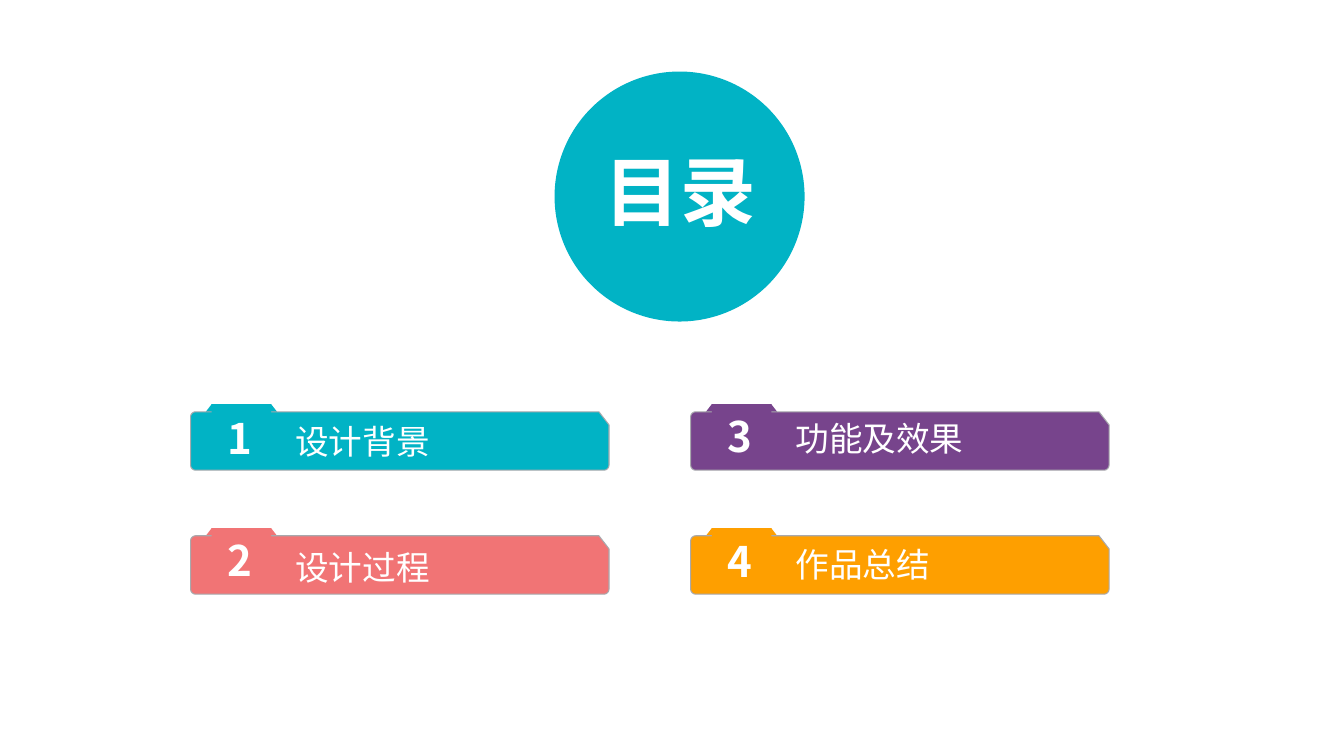
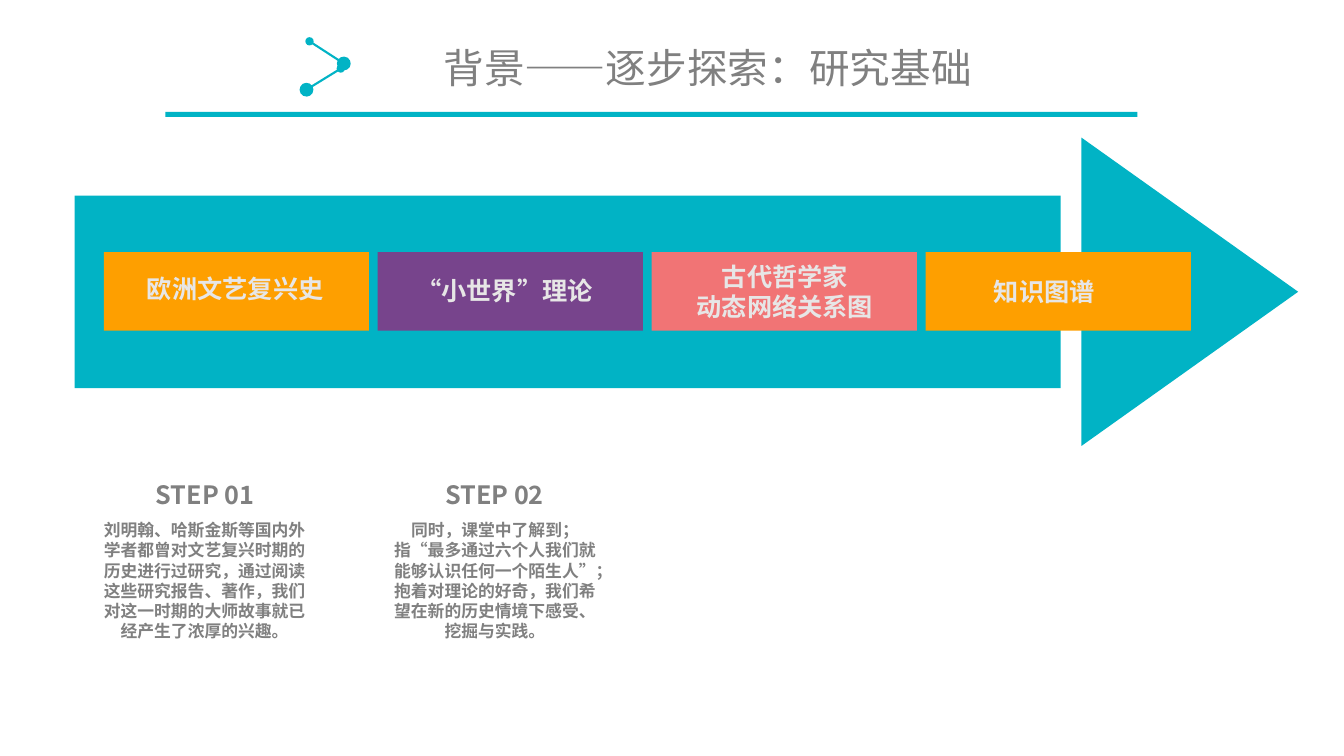
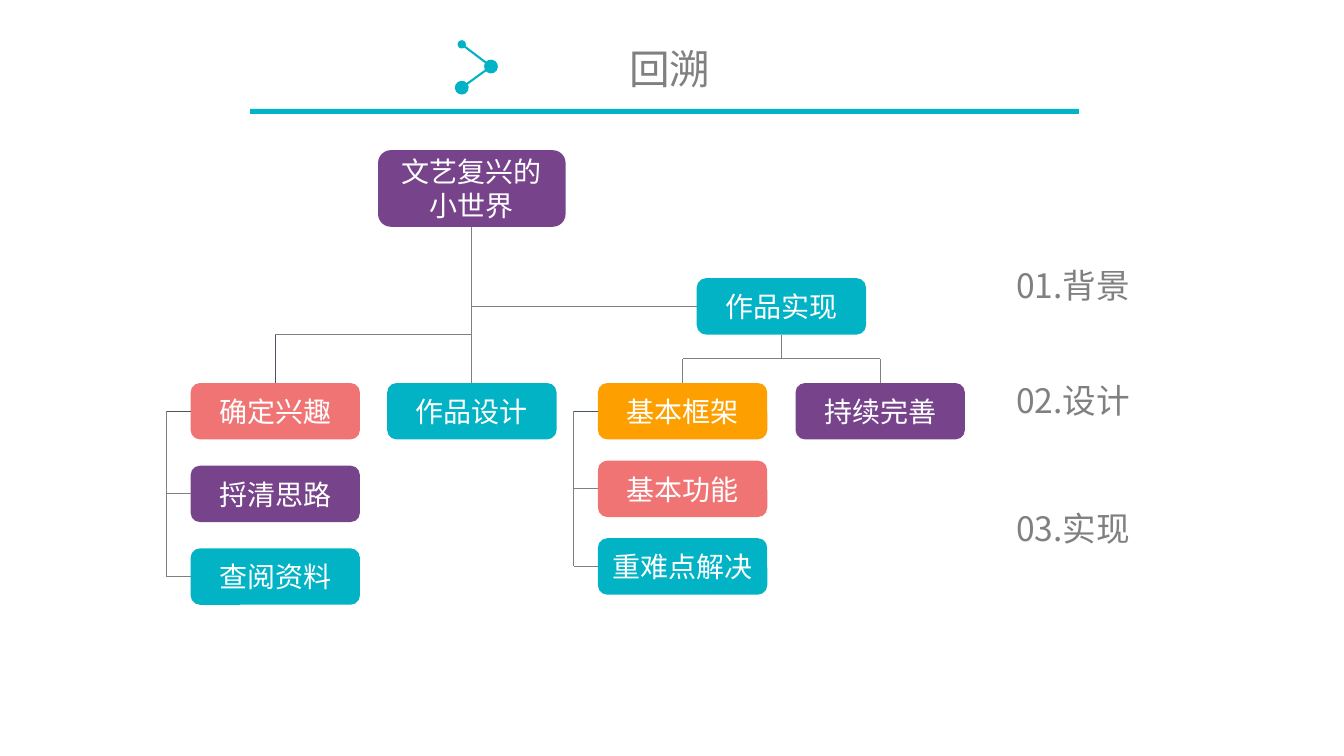
from math import cos, pi, sin

from lxml.etree import SubElement
from pptx import Presentation
from pptx.dml.color import RGBColor
from pptx.enum.shapes import MSO_CONNECTOR, MSO_SHAPE
from pptx.enum.text import MSO_ANCHOR, MSO_AUTO_SIZE, PP_ALIGN
from pptx.oxml.ns import qn
from pptx.util import Inches, Pt

COLOURS = {
    "teal": "01B3C5", "coral": "F17475", "purple": "77448C", "orange": "FE9F00",
    "white": "FFFFFF", "pale": "E7E6E6", "grey": "808080", "slate": "49555F",
    "silver": "A8A9AD",
}
FONT = "Noto Sans CJK SC"
TITLE_FONT = "Arial"
NARROW = (0.07, 0.04)
TOP, LEFT, BOTTOM = 0, 1, 2

CARDS = [
    ("1", "设计背景", "teal", 1.89, 4.01, 1.5, 0.13, 0.04),
    ("2", "设计过程", "coral", 1.89, 5.24, 1.5, 0.15, 0.02),
    ("3", "功能及效果", "purple", 6.85, 4.01, 1.83, 0.1, 0.02),
    ("4", "作品总结", "orange", 6.85, 5.24, 1.5, 0.12, 0.03),
]

STAGES = [
    (["欧洲文艺复兴史"], "orange", (1.36, 2.66, 1.97, 0.4), PP_ALIGN.LEFT),
    (["“小世界”理论"], "purple", (4.03, 2.68, 2.12, 0.4), PP_ALIGN.LEFT),
    (["古代哲学家", "动态网络关系图"], "coral", (6.8, 2.54, 1.97, 0.71), PP_ALIGN.CENTER),
    (["知识图谱"], "orange", (9.76, 2.69, 1.21, 0.4), PP_ALIGN.LEFT),
]
STEPS = [
    ("STEP 01", 1.43, 0.88, [
        "刘明翰、哈斯金斯等国内外学者都曾对文艺复兴时期的历史进行过研究，通过阅读这些研究报告、著作，我们对这一时期的大师故事就已经产生了浓厚的兴趣。",
    ]),
    ("STEP 02", 4.3, 3.76, [
        "同时，课堂中了解到；",
        "指“最多通过六个人我们就能够认识任何一个陌生人”；",
        "抱着对理论的好奇，我们希望在新的历史情境下感受、挖掘与实践。",
    ]),
]

NODE_WIDTH, NODE_HEIGHT, NODE_ROW = 1.68, 0.56, 3.8
COLUMNS = [
    (1.89, 0.82, [("确定兴趣", "coral"), ("捋清思路", "purple"), ("查阅资料", "teal")]),
    (3.84, 0, [("作品设计", "teal")]),
    (5.93, 0.77, [("基本框架", "orange"), ("基本功能", "coral"), ("重难点解决", "teal")]),
    (7.89, 0, [("持续完善", "purple")]),
]
CHAPTERS = [("01.背景", 2.59, 1.39), ("02.设计", 3.73, 1.68), ("03.实现", 5, 1.3)]


def rgb(name):
    return RGBColor.from_string(COLOURS[name])


def write(shape, paragraphs, size, colour, bold=False, font=FONT, align=PP_ALIGN.LEFT,
          anchor=MSO_ANCHOR.TOP, margins=(0.1, 0.05), wrap=False, grow=True):
    frame = shape.text_frame
    frame.margin_left = frame.margin_right = Inches(margins[0])
    frame.margin_top = frame.margin_bottom = Inches(margins[1])
    frame.vertical_anchor = anchor
    frame.word_wrap = wrap
    frame.auto_size = MSO_AUTO_SIZE.SHAPE_TO_FIT_TEXT if grow else MSO_AUTO_SIZE.NONE
    frame.text = "\n".join(paragraphs)
    for paragraph in frame.paragraphs:
        paragraph.alignment = align
        for run in paragraph.runs:
            run.font.size = Pt(size)
            run.font.bold = bold
            run.font.name = font
            run.font.color.rgb = rgb(colour)
            SubElement(run.font._element, qn("a:ea")).set("typeface", FONT)


def paint(shape, fill, line=None):
    shape.shadow.inherit = False
    shape.fill.solid()
    shape.fill.fore_color.rgb = rgb(fill)
    if line:
        shape.line.color.rgb = rgb(line)
        shape.line.width = 0
    else:
        shape.line.fill.background()


def add_box(slide, kind, box, fill):
    shape = slide.shapes.add_shape(kind, *map(Inches, box))
    paint(shape, fill)
    return shape


def add_text(slide, box, paragraphs, size, colour, **options):
    write(slide.shapes.add_textbox(*map(Inches, box)), paragraphs, size, colour, **options)


def add_outline(slide, points, fill, line=None):
    corners = [(Inches(x), Inches(y)) for x, y in points]
    builder = slide.shapes.build_freeform(*corners[0])
    builder.add_line_segments(corners[1:], close=True)
    paint(builder.convert_to_shape(), fill, line)


def add_line(slide, start, end, colour="grey", width=0.75, begin=None, finish=None):
    connector = slide.shapes.add_connector(
        MSO_CONNECTOR.STRAIGHT, *map(Inches, start + end))
    connector.line.color.rgb = rgb(colour)
    connector.line.width = Pt(width)
    SubElement(connector._element.spPr, qn("a:effectLst"))
    if begin:
        connector.begin_connect(*begin)
    if finish:
        connector.end_connect(*finish)
    return connector


def add_header(slide, title, title_box, rule_box, strokes):
    add_box(slide, MSO_SHAPE.RECTANGLE, rule_box, "teal")
    add_text(slide, title_box, [title], 29, "grey", font=TITLE_FONT)
    for start, end in strokes:
        line = add_line(slide, start, end, "teal", 1.5).line._get_or_add_ln()
        for tag, size in (("a:headEnd", "med"), ("a:tailEnd", "lg")):
            dot = SubElement(line, qn(tag))
            dot.set("type", "oval")
            dot.set("w", size)
            dot.set("len", size)


def arc(x, y, radius, start):
    angles = [start + pi / 2 * step / 4 for step in range(5)]
    return [(x + radius * cos(angle), y + radius * sin(angle)) for angle in angles]


def add_card(slide, number, label, colour, left, top, label_width, label_drop, number_drop):
    tab_left, body_top, radius = left + 0.14, top + 0.075, 0.05
    right, bottom = left + 4.15, body_top + 0.58
    add_outline(slide, [(tab_left + 0.07, top), (tab_left + 0.66, top),
                        (tab_left + 0.73, top + 0.09), (tab_left, top + 0.09)], colour)
    body = [(right - 0.1, body_top), (right, body_top + 0.13)]
    body += arc(right - radius, bottom - radius, radius, 0)
    body += arc(left + radius, bottom - radius, radius, pi / 2)
    body += arc(left + radius, body_top + radius, radius, pi)
    add_outline(slide, body, colour, "silver")
    add_box(slide, MSO_SHAPE.RECTANGLE, (left + 0.21, top, 0.59, 0.61), colour)
    label_box = (left + 0.97, top + label_drop, label_width, 0.48)
    number_box = (left + 0.3, top + number_drop, 0.41, 0.58)
    for box, text, size, bold in ((label_box, label, 24, False), (number_box, number, 30, True)):
        shape = add_box(slide, MSO_SHAPE.RECTANGLE, box, colour)
        write(shape, [text], size, "white", bold=bold, margins=NARROW)


def build_contents(slide):
    for card in CARDS:
        add_card(slide, *card)
    add_box(slide, MSO_SHAPE.OVAL, (5.5, 0.71, 2.48, 2.48), "teal")
    add_text(slide, (5.89, 1.39, 1.72, 1.01), ["目录"], 54, "white", bold=True,
             align=PP_ALIGN.CENTER)


def build_background(slide):
    add_header(slide, "背景——逐步探索：研究基础", (4.3, 0.38, 5.49, 0.59),
               (1.64, 1.11, 9.64, 0.05),
               [((3.07, 0.41), (3.41, 0.63)), ((3.38, 0.68), (3.04, 0.89))])
    add_box(slide, MSO_SHAPE.RECTANGLE, (0.74, 1.94, 9.78, 1.91), "teal")
    arrowhead = add_box(slide, MSO_SHAPE.ISOSCELES_TRIANGLE, (10.27, 1.82, 3.06, 2.15), "teal")
    arrowhead.rotation = 90
    for index, (lines, colour, text_box, align) in enumerate(STAGES):
        add_box(slide, MSO_SHAPE.RECTANGLE, (1.03 + 2.717 * index, 2.5, 2.63, 0.78), colour)
        add_text(slide, text_box, lines, 18, "pale", bold=True, align=align)
    for heading, heading_left, body_left, body in STEPS:
        add_text(slide, (body_left, 5.11, 2.3, 1.31), body, 12, "grey", bold=True,
                 align=PP_ALIGN.CENTER, wrap=True)
        add_text(slide, (heading_left, 4.71, 1.21, 0.4), [heading], 18, "grey", bold=True,
                 align=PP_ALIGN.CENTER)


def add_node(slide, text, colour, left, top, width=NODE_WIDTH, height=NODE_HEIGHT):
    shape = add_box(slide, MSO_SHAPE.ROUNDED_RECTANGLE, (left, top, width, height), colour)
    write(shape, [text], 20, "white", align=PP_ALIGN.CENTER, anchor=MSO_ANCHOR.MIDDLE,
          wrap=True, grow=False)
    return shape


def build_review(slide):
    add_header(slide, "回溯", (6.14, 0.39, 1.02, 0.59), (2.48, 1.08, 8.22, 0.05),
               [((4.58, 0.44), (4.87, 0.66)), ((4.87, 0.66), (4.58, 0.87))])
    root = add_node(slide, "文艺复兴的小世界", "purple", 3.75, 1.49, 1.86, 0.76)
    product = add_node(slide, "作品实现", "teal", 6.91, 2.76)
    heads = []
    for left, step, nodes in COLUMNS:
        shapes = [add_node(slide, text, colour, left, NODE_ROW + step * row)
                  for row, (text, colour) in enumerate(nodes)]
        heads.append(shapes[0])
        if len(nodes) > 1:
            spine = left - 0.24
            middles = [NODE_ROW + NODE_HEIGHT / 2 + step * row for row in range(len(nodes))]
            for row, (shape, middle) in enumerate(zip(shapes, middles)):
                add_line(slide, (left, middle), (spine, middle),
                         "grey" if row else "slate", begin=(shape, LEFT))
            add_line(slide, (spine, middles[0]), (spine, middles[-1]))

    interest, design, framework, refinement = heads
    interest_x, trunk, framework_x, refinement_x = [
        left + NODE_WIDTH / 2 for left, _, _ in COLUMNS]
    product_x, branch, fork = 6.91 + NODE_WIDTH / 2, 3.32, 3.56
    add_line(slide, (trunk, 2.25), (trunk, NODE_ROW), begin=(root, BOTTOM), finish=(design, TOP))
    add_line(slide, (trunk, branch), (interest_x, branch))
    add_line(slide, (interest_x, branch), (interest_x, NODE_ROW), "slate", finish=(interest, TOP))
    add_line(slide, (trunk, 3.04), (6.91, 3.04), finish=(product, LEFT))
    add_line(slide, (product_x, branch), (product_x, fork), begin=(product, BOTTOM))
    add_line(slide, (framework_x, fork), (refinement_x, fork))
    for shape, x in ((framework, framework_x), (refinement, refinement_x)):
        add_line(slide, (x, NODE_ROW), (x, fork), begin=(shape, TOP))

    for text, top, width in CHAPTERS:
        add_text(slide, (10.01, top, width, 0.48), [text], 24, "grey", margins=NARROW, wrap=True)


def main():
    presentation = Presentation()
    presentation.slide_width = Inches(13.33)
    presentation.slide_height = Inches(7.5)
    for build in (build_contents, build_background, build_review):
        build(presentation.slides.add_slide(presentation.slide_layouts[6]))
    presentation.save("out.pptx")


if __name__ == "__main__":
    main()
